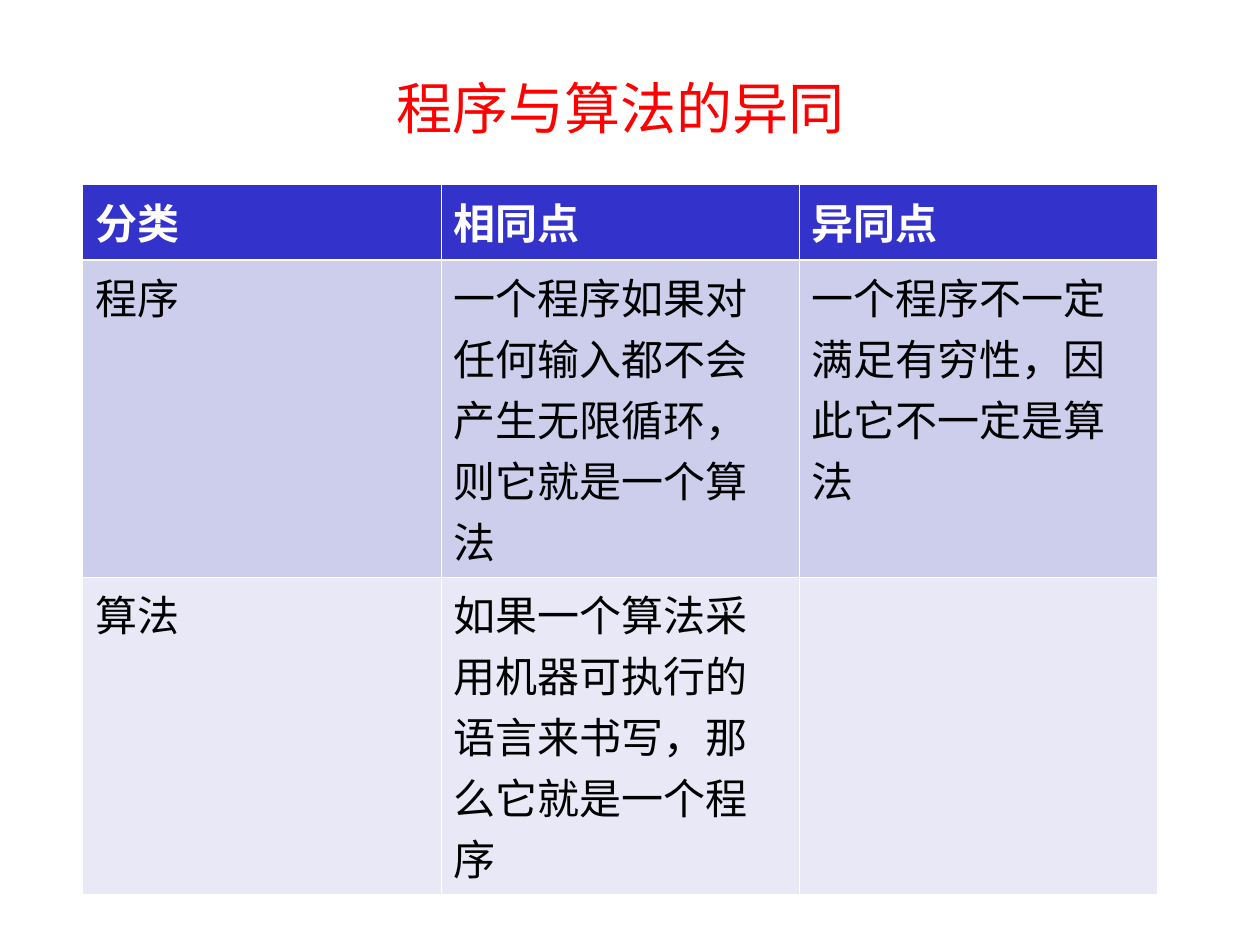
from dataclasses import dataclass

from lxml.etree import SubElement
from pptx import Presentation
from pptx.dml.color import RGBColor
from pptx.enum.text import MSO_ANCHOR, PP_ALIGN
from pptx.oxml.ns import qn
from pptx.util import Pt


@dataclass(frozen=True)
class Theme:
    font: str = "Times New Roman"
    title_size: int = 32
    table_size: int = 24
    title: str = "FF0000"
    header_text: str = "FFFFFF"
    body_text: str = "000000"
    border: str = "FFFFFF"
    row_fills: tuple = ("3333CC", "CDCDEC", "E8E8F6")
    thin: float = 0.45
    thick: float = 1.47


THEME = Theme()


def format_text(paragraph, size, color, bold=False):
    values = {"name": THEME.font, "size": Pt(size), "bold": bold}
    for name, value in values.items():
        setattr(paragraph.font, name, value)
    paragraph.font.color.rgb = RGBColor.from_string(color)


def set_borders(cell, widths):
    """Draw solid borders; widths maps an edge letter (L, R, T, B) to points."""
    properties = cell._tc.get_or_add_tcPr()
    for position, (edge, width) in enumerate(widths.items()):
        line = SubElement(properties, qn(f"a:ln{edge}"), w=str(int(Pt(width))))
        fill = SubElement(line, qn("a:solidFill"))
        SubElement(fill, qn("a:srgbClr"), val=THEME.border)
        properties.insert(position, line)


presentation = Presentation()
presentation.slide_width = Pt(720)
presentation.slide_height = Pt(540)
slide = presentation.slides.add_slide(presentation.slide_layouts[6])

# Comparison table
rows = [
    ["分类", "相同点", "异同点"],
    [
        "程序",
        "一个程序如果对任何输入都不会产生无限循环，则它就是一个算法",
        "一个程序不一定满足有穷性，因此它不一定是算法",
    ],
    ["算法", "如果一个算法采用机器可执行的语言来书写，那么它就是一个程序", ""],
]
row_heights = [43, 180, 180]
column_width = 204.8

table = slide.shapes.add_table(
    len(rows), len(rows[0]), Pt(47.2), Pt(105.4),
    Pt(column_width * len(rows[0])), Pt(sum(row_heights)),
).table
for column in table.columns:
    column.width = Pt(column_width)

for row_index, texts in enumerate(rows):
    is_header = row_index == 0
    table.rows[row_index].height = Pt(row_heights[row_index])
    widths = {
        "L": THEME.thin,
        "R": THEME.thin,
        "T": THEME.thick if row_index == 1 else THEME.thin,
        "B": THEME.thick if is_header else THEME.thin,
    }
    for column_index, text in enumerate(texts):
        cell = table.cell(row_index, column_index)
        cell.text = text
        cell.fill.solid()
        cell.fill.fore_color.rgb = RGBColor.from_string(THEME.row_fills[row_index])
        set_borders(cell, widths)
        color = THEME.header_text if is_header else THEME.body_text
        format_text(cell.text_frame.paragraphs[0], THEME.table_size, color, is_header)

# Title
title = slide.shapes.add_textbox(Pt(219), Pt(38), Pt(271), Pt(46))
frame = title.text_frame
frame.word_wrap = False
frame.vertical_anchor = MSO_ANCHOR.MIDDLE
frame.text = "程序与算法的异同"
frame.paragraphs[0].alignment = PP_ALIGN.CENTER
format_text(frame.paragraphs[0], THEME.title_size, THEME.title)

presentation.save("out.pptx")
